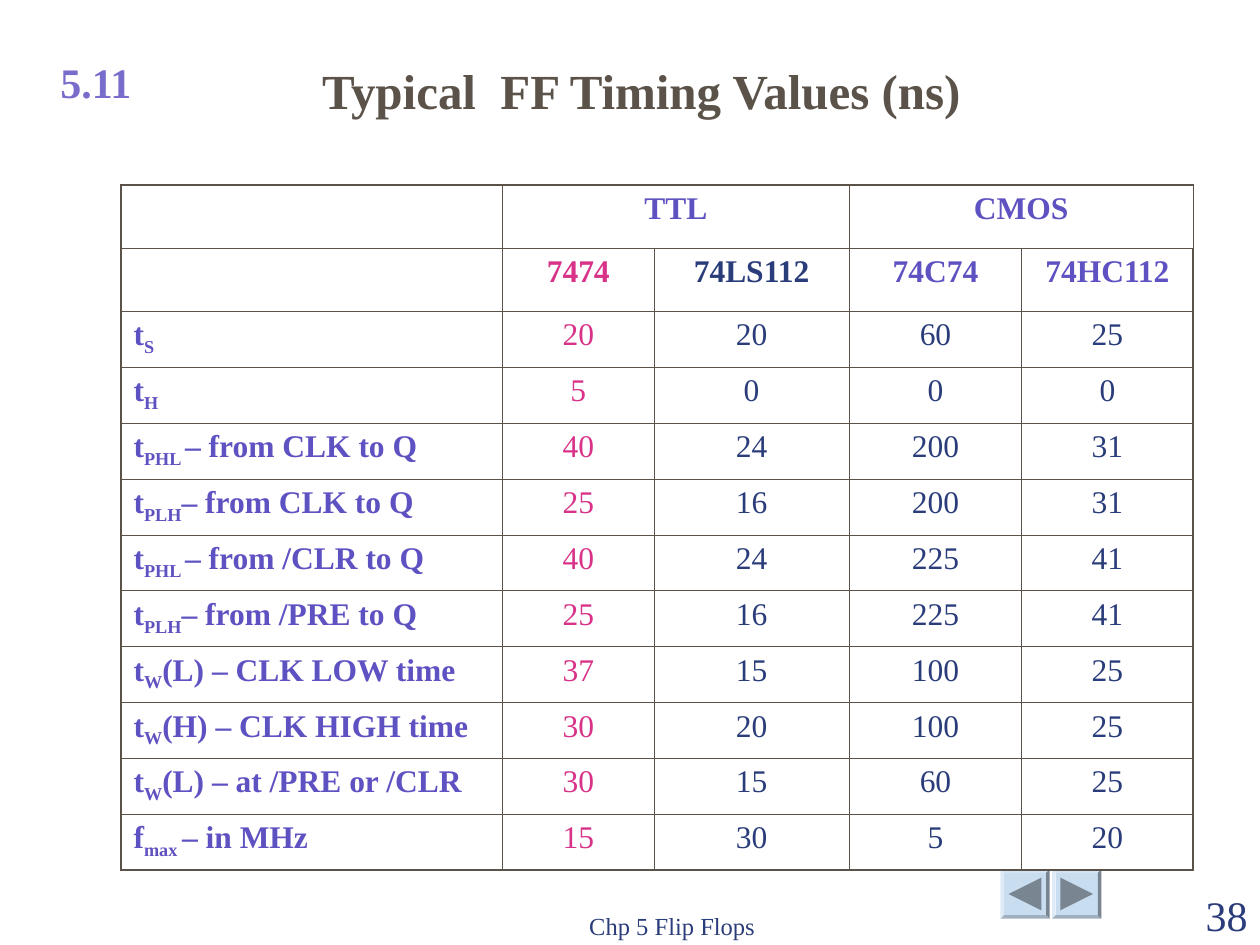
from pptx import Presentation
from pptx.dml.color import RGBColor
from pptx.enum.shapes import MSO_SHAPE
from pptx.enum.text import MSO_ANCHOR, PP_ALIGN
from pptx.oxml import parse_xml
from pptx.oxml.ns import nsdecls
from pptx.util import Inches, Pt

FONT = "Times New Roman"
BROWN = RGBColor(0x5B, 0x52, 0x49)
LAVENDER = RGBColor(0x78, 0x6D, 0xCB)
VIOLET = RGBColor(0x5E, 0x51, 0xC1)
PINK = RGBColor(0xD8, 0x32, 0x89)
NAVY = RGBColor(0x2A, 0x3D, 0x7A)
PALE_BLUE = RGBColor(0xC9, 0xDD, 0xF1)
GREY = RGBColor(0x79, 0x85, 0x91)


def write(frame, text, size=18, color=NAVY, bold=False, align=PP_ALIGN.LEFT,
          anchor=MSO_ANCHOR.TOP, wrap=True):
    """Write one paragraph; in "a|b|c" the part b is a subscript."""
    frame.word_wrap = wrap
    frame.vertical_anchor = anchor
    para = frame.paragraphs[0]
    para.alignment = align
    para.font.size = Pt(size)
    for index, part in enumerate(text.split("|")):
        span = para.add_run()
        span.text = part
        span.font.name = FONT
        span.font.size = Pt(size)
        span.font.bold = bold
        span.font.color.rgb = color
        if index == 1:
            span.font._element.set("baseline", "-25000")


def set_border(cell, side, width):
    """Draw one side (L, R, T or B) of a table cell."""
    cell._tc.get_or_add_tcPr().append(parse_xml(
        f'<a:ln{side} {nsdecls("a")} w="{Pt(width)}"><a:solidFill>'
        f'<a:srgbClr val="{BROWN}"/></a:solidFill></a:ln{side}>'))


deck = Presentation()
deck.slide_width, deck.slide_height = Inches(10), Inches(7.5)
page = deck.slides.add_slide(deck.slide_layouts[6])

# Previous and next buttons
BUTTON, ARROW = 0.39, 0.26
for left, turn in ((7.94, -90), (8.35, 90)):
    inset = (BUTTON - ARROW) / 2
    button = page.shapes.add_shape(MSO_SHAPE.BEVEL, Inches(left), Inches(6.9),
                                   Inches(BUTTON), Inches(BUTTON))
    button.adjustments[0] = 0.07
    arrow = page.shapes.add_shape(
        MSO_SHAPE.ISOSCELES_TRIANGLE, Inches(left + inset), Inches(6.9 + inset),
        Inches(ARROW), Inches(ARROW))
    arrow.rotation = turn
    for shape, color in ((button, PALE_BLUE), (arrow, GREY)):
        shape.shadow.inherit = False
        shape.fill.solid()
        shape.fill.fore_color.rgb = color
        shape.line.fill.background()

# Title, section number, footer and page number
bottom = MSO_ANCHOR.BOTTOM
for left, top, width, text, style in (
    (2.31, 0.5, 5.56, "Typical  FF Timing Values (ns)",
     dict(size=28, color=BROWN, bold=True, align=PP_ALIGN.CENTER, anchor=bottom)),
    (0.38, 0.4, 0.78, "5.11", dict(size=24, color=LAVENDER, bold=True, wrap=False)),
    (3.75, 7.01, 3.17, "Chp 5 Flip Flops",
     dict(size=14, align=PP_ALIGN.CENTER, anchor=bottom)),
    (9, 7.01, 1, "38", dict(size=24, align=PP_ALIGN.RIGHT, anchor=bottom)),
):
    box = page.shapes.add_textbox(Inches(left), Inches(top), Inches(width), Inches(0.5))
    write(box.text_frame, text, **style)

# Timing table
rows = [
    ("", "TTL", "", "CMOS", ""),
    ("", "7474", "74LS112", "74C74", "74HC112"),
    ("t|S", 20, 20, 60, 25),
    ("t|H", 5, 0, 0, 0),
    ("t|PHL |– from CLK to Q", 40, 24, 200, 31),
    ("t|PLH|– from CLK to Q", 25, 16, 200, 31),
    ("t|PHL |– from /CLR to Q", 40, 24, 225, 41),
    ("t|PLH|– from /PRE to Q", 25, 16, 225, 41),
    ("t|W|(L) – CLK LOW time", 37, 15, 100, 25),
    ("t|W|(H) – CLK HIGH time", 30, 20, 100, 25),
    ("t|W|(L) – at /PRE or /CLR", 30, 15, 60, 25),
    ("f|max |– in MHz", 15, 30, 5, 20),
]
widths = [3.03, 1.2, 1.55, 1.37, 1.36]
heights = [0.5] * 2 + [0.444] * 10
table = page.shapes.add_table(
    len(rows), len(widths), Inches(0.96), Inches(1.47),
    Inches(sum(widths)), Inches(sum(heights))).table
table.first_row = table.horz_banding = False
for column, width in zip(table.columns, widths):
    column.width = Inches(width)
for row, height in zip(table.rows, heights):
    row.height = Inches(height)
for first in (1, 3):
    table.cell(0, first).merge(table.cell(0, first + 1))

last_row, last_column = len(rows) - 1, len(widths) - 1
header_colors = [[VIOLET] * 5, [VIOLET, PINK, NAVY, VIOLET, VIOLET]]
value_colors = [VIOLET, PINK, NAVY, NAVY, NAVY]
for r, values in enumerate(rows):
    colors = header_colors[r] if r < 2 else value_colors
    for c, value in enumerate(values):
        cell = table.cell(r, c)
        outer = {"L": c == 0, "R": c == last_column, "T": r == 0, "B": r == last_row}
        for side, is_outer in outer.items():
            set_border(cell, side, 1.08 if is_outer else 0.45)
        cell.fill.background()
        if value != "":
            write(cell.text_frame, str(value), color=colors[c], bold=r < 2 or c == 0,
                  align=PP_ALIGN.CENTER if c else PP_ALIGN.LEFT)

deck.save("out.pptx")
